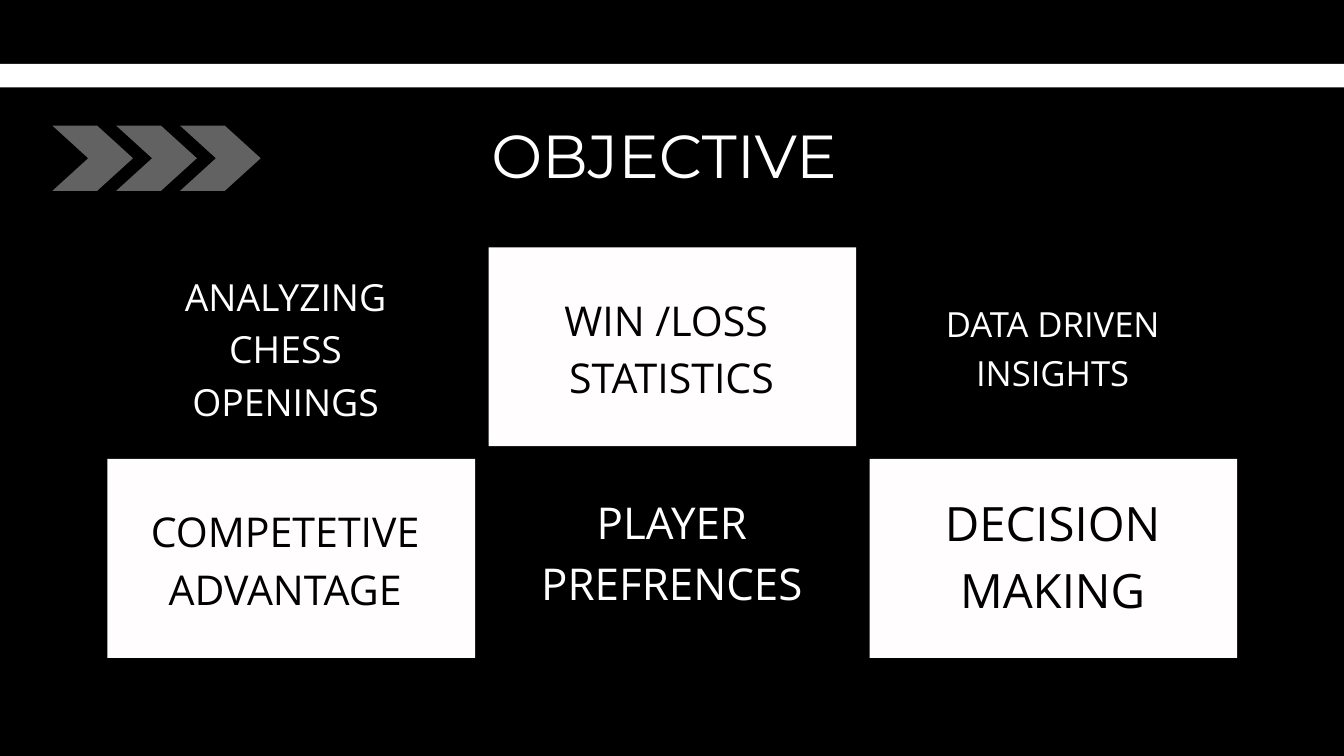
from dataclasses import dataclass

from lxml import etree
from pptx import Presentation
from pptx.dml.color import RGBColor
from pptx.enum.shapes import MSO_SHAPE
from pptx.enum.text import MSO_AUTO_SIZE, PP_ALIGN
from pptx.oxml.ns import qn
from pptx.util import Inches, Pt

RECTANGLE = MSO_SHAPE.RECTANGLE
CHEVRON = MSO_SHAPE.CHEVRON
CENTER = PP_ALIGN.CENTER
GROW = MSO_AUTO_SIZE.SHAPE_TO_FIT_TEXT


@dataclass(frozen=True)
class Theme:
    """Colours, fonts and type sizes of the slide."""
    black: str = "000000"
    white: str = "FFFFFF"
    panel: str = "FFFDFD"
    chevron: str = "C4C4C4"
    heading_font: str = "Montserrat"
    body_font: str = "Open Sans"
    heading: float = 65
    openings: float = 40
    statistics: float = 44
    insights: float = 37.1
    advantage: float = 44
    preferences: float = 47
    decision: float = 50.7
    heading_spacing: float = 1.22
    body_spacing: float = 1.4


THEME = Theme()
PANEL_WIDTH, PANEL_HEIGHT = 5.47, 2.96
GRID_LEFT, GRID_TOP = 1.6, 3.68
COLUMN_STEP, ROW_STEP = 5.67, 3.15
PANEL_CELLS = [(1, 0), (0, 1), (2, 1)]
CHEVRON_LEFT, CHEVRON_STEP = 0.78, 0.95


def set_background(slide, color):
    """Fill the slide background with one colour."""
    fill = slide.background.fill
    fill.solid()
    fill.fore_color.rgb = RGBColor.from_string(color)


def add_filled_shape(slide, kind, left, top, width, height, color, opacity=100):
    """Add a flat preset shape without an outline."""
    shape = slide.shapes.add_shape(
        kind, Inches(left), Inches(top), Inches(width), Inches(height))
    shape.shadow.inherit = False
    shape.line.fill.background()
    shape.fill.solid()
    shape.fill.fore_color.rgb = RGBColor.from_string(color)
    if opacity < 100:
        color_element = shape.fill._xPr.find(f"{qn('a:solidFill')}/{qn('a:srgbClr')}")
        etree.SubElement(color_element, qn("a:alpha"), val=str(opacity * 1000))
    return shape


def add_text(slide, text, *, left, top, width, height, size, color,
             font=THEME.body_font, spacing=THEME.body_spacing):
    """Add a centred text box with one paragraph per line of text."""
    box = slide.shapes.add_textbox(
        Inches(left), Inches(top), Inches(width), Inches(height))
    frame = box.text_frame
    frame.margin_left = frame.margin_right = 0
    frame.margin_top = frame.margin_bottom = 0
    frame.word_wrap = True
    frame.auto_size = GROW
    frame.text = text
    for paragraph in frame.paragraphs:
        paragraph.alignment = CENTER
        paragraph.line_spacing = Pt(round(size * spacing, 1))
        for run in paragraph.runs:
            run.font.name = font
            run.font.size = Pt(size)
            run.font.color.rgb = RGBColor.from_string(color)


def add_panels(slide):
    """Add the white panels of the checkerboard grid."""
    for column, row in PANEL_CELLS:
        add_filled_shape(
            slide, RECTANGLE, GRID_LEFT + column * COLUMN_STEP,
            GRID_TOP + row * ROW_STEP, PANEL_WIDTH, PANEL_HEIGHT, THEME.panel)


def add_chevrons(slide):
    """Add the row of three translucent chevrons."""
    for index in range(3):
        chevron = add_filled_shape(
            slide, CHEVRON, CHEVRON_LEFT + index * CHEVRON_STEP, 1.87,
            1.2, 0.97, THEME.chevron, opacity=50)
        chevron.adjustments[0] = 0.55


def add_objectives(slide):
    """Add the six objectives over the grid."""
    objectives = [
        ("ANALYZING CHESS OPENINGS", 1.98, 3.97, 4.54, 2.28, THEME.openings, THEME.white),
        ("WIN /LOSS \nSTATISTICS", 7.94, 4.27, 4.11, 1.68, THEME.statistics, THEME.black),
        ("DATA DRIVEN INSIGHTS", 13.39, 4.41, 4.55, 1.42, THEME.insights, THEME.white),
        ("COMPETETIVE ADVANTAGE", 1.3, 7.42, 5.89, 1.68, THEME.advantage, THEME.black),
        ("PLAYER PREFRENCES", 7.06, 7.24, 5.88, 1.78, THEME.preferences, THEME.white),
        ("DECISION\nMAKING", 13.89, 7.22, 3.55, 1.93, THEME.decision, THEME.black),
    ]
    for text, left, top, width, height, size, color in objectives:
        add_text(slide, text, left=left, top=top, width=width, height=height,
                 size=size, color=color)


def main():
    """Build the objective slide and save it."""
    presentation = Presentation()
    presentation.slide_width = Inches(20)
    presentation.slide_height = Inches(11.25)
    slide = presentation.slides.add_slide(presentation.slide_layouts[6])
    set_background(slide, THEME.black)
    add_panels(slide)
    add_objectives(slide)
    add_text(slide, "OBJECTIVE ", left=3.53, top=1.74, width=12.94, height=1.1,
             size=THEME.heading, color=THEME.white,
             font=THEME.heading_font, spacing=THEME.heading_spacing)
    add_filled_shape(slide, RECTANGLE, 0, 0.95, 20, 0.35, THEME.white)
    add_chevrons(slide)
    presentation.save("out.pptx")


if __name__ == "__main__":
    main()
